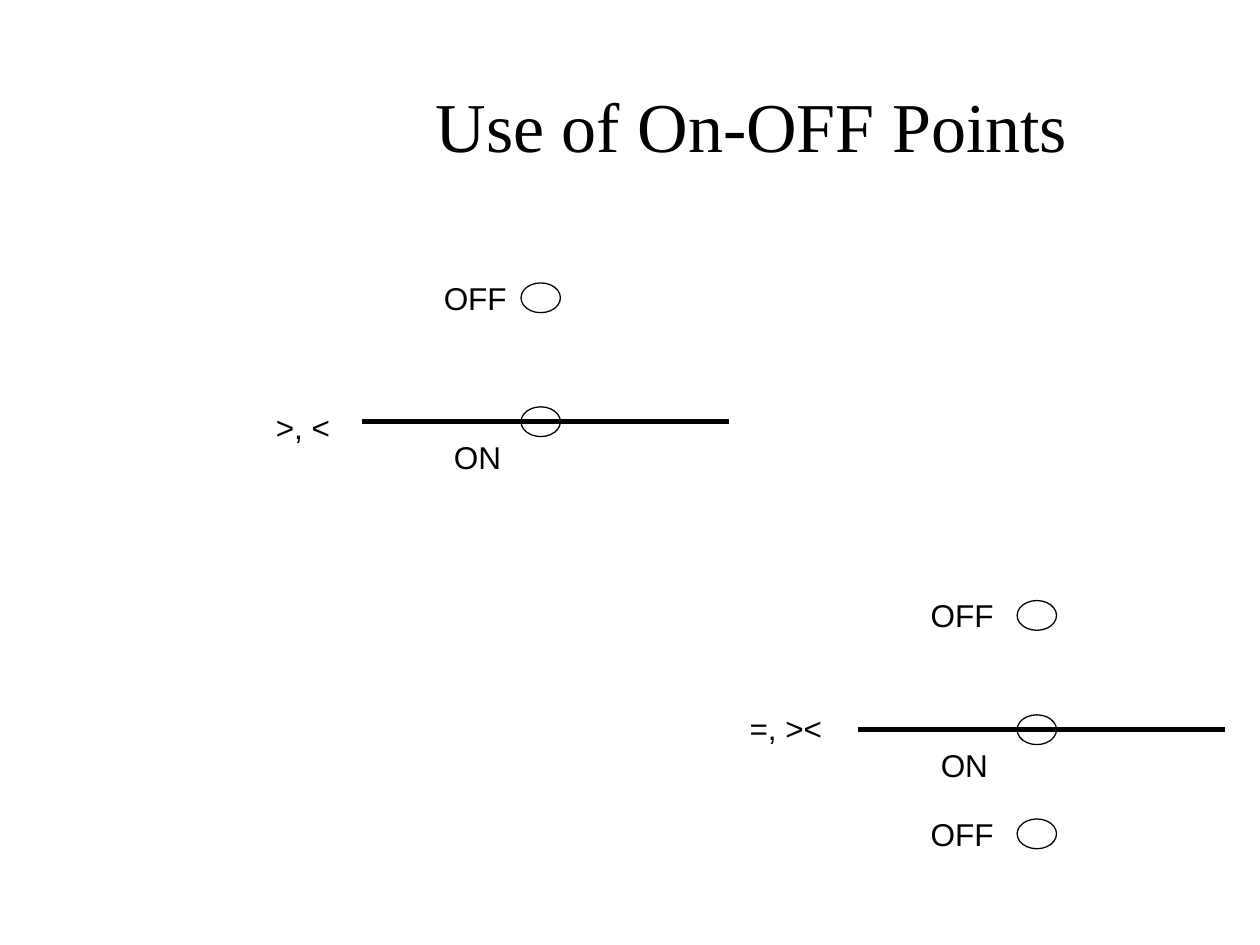
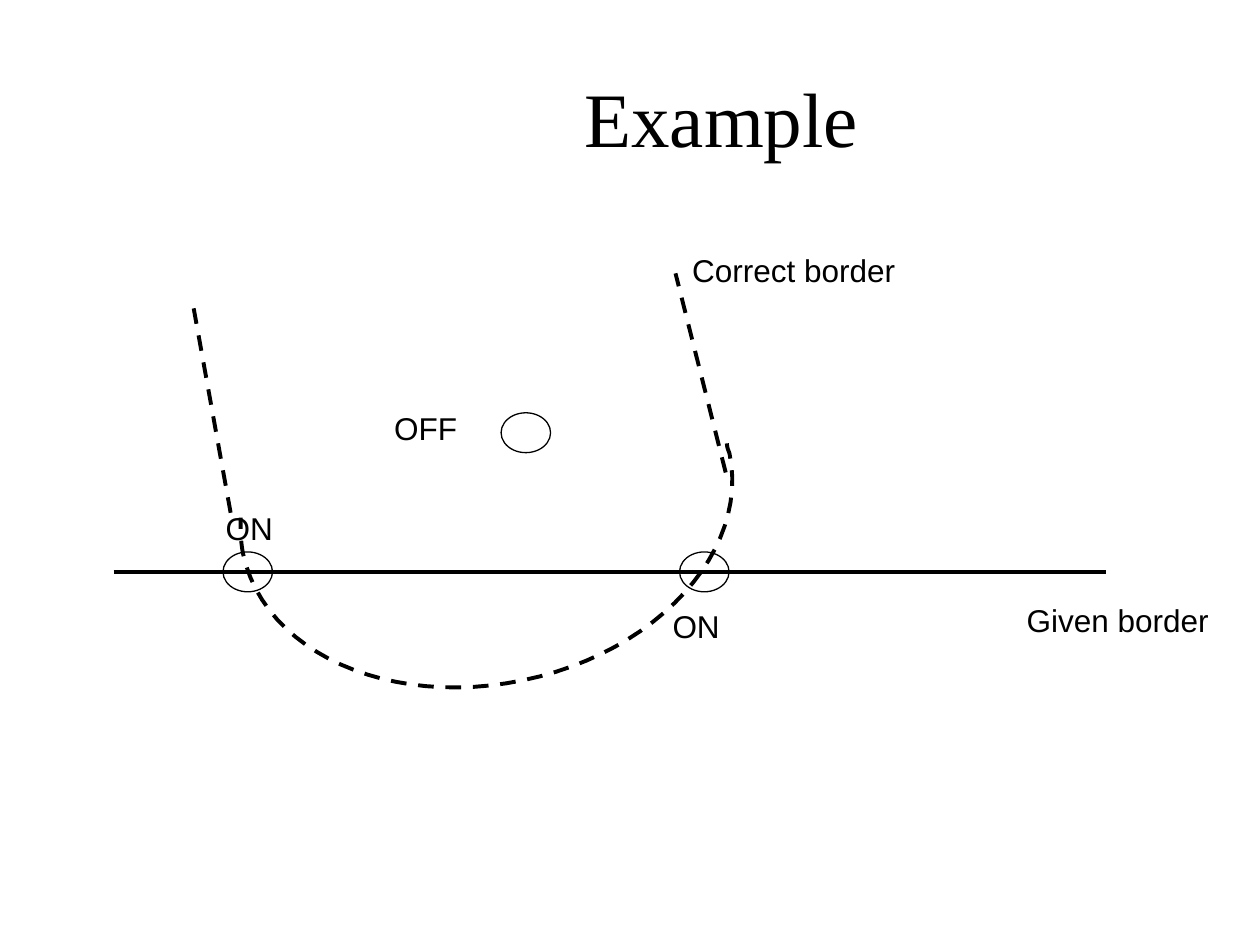
"""Build two slides on ON and OFF points of domain borders."""
from itertools import pairwise
from lxml import etree
from pptx import Presentation
from pptx.dml.color import RGBColor
from pptx.enum.dml import MSO_LINE as Dash
from pptx.enum.shapes import MSO_CONNECTOR as Conn, MSO_SHAPE as Shape
from pptx.enum.text import MSO_ANCHOR as Anchor, MSO_AUTO_SIZE as Fit, PP_ALIGN as Align
from pptx.oxml.ns import qn
from pptx.util import Pt

BLACK = RGBColor(0, 0, 0)
SERIF, SANS = "Times New Roman", "Arial"
LABEL_H = 28.8

USE_TITLE = ("Use of On-OFF Points", 139, 26, 581, 90, 40)
BORDERS = [
    {"ops": (">, <", 150.5, 229.7, 46), "line": (207, 241), "off": [-70.8], "gap": 39.5},
    {"ops": ("=, ><", 421.2, 401.8, 57), "line": (490.5, 417), "off": [-65.3, 59.5], "gap": 34.2},
]
BORDER_W, DOT_X = 209.7, 102
USE_DOT = (22.5, 17)

CASE_TITLE = ("Example", 140.4, 21.6, 543.6, 90, 44)
CASE_DOT = (28.3, 22.8)
GIVEN_Y = 326.8
CASE_DOTS = [(300.5, 247.3), (402.5, GIVEN_Y), (141.6, GIVEN_Y)]
CASE_TEXT = [
    ("Given border", 579.6, 339.8, 120),
    ("OFF", 218.2, 230.4, 57.6),
    ("ON", 121.9, 287.3, 46),
    ("ON", 377.2, 343.4, 46),
    ("Correct border", 388.5, 139.7, 136),
]
SIDES = [(131.8, 293, 110.2, 173.5), (414.7, 270, 386, 156.2)]
CURVE = [
    (415.4, 253.4), (415.4, 255.6), (416.2, 257.4), (416.9, 259.2),
    (428.4, 314.6), (375.8, 373), (298.8, 388.8),
    (222.5, 404.6), (151.2, 373), (139, 316.8),
    (137.5, 309.6), (137.5, 303.1), (137.5, 295.9),
]


def add_text(slide, text, x, y, w, h, size, face):
    box = slide.shapes.add_textbox(Pt(x), Pt(y), Pt(w), Pt(h))
    para = box.text_frame.paragraphs[0]
    para.text = text
    para.font.size, para.font.name = Pt(size), face
    para.font.color.rgb = BLACK
    return box.text_frame, para


def add_title(slide, text, x, y, w, h, size):
    frame, para = add_text(slide, text, x, y, w, h, size, SERIF)
    frame.word_wrap = True
    frame.vertical_anchor = Anchor.MIDDLE
    para.alignment = Align.CENTER


def add_label(slide, text, x, y, w):
    frame, _ = add_text(slide, text, x, y, w, LABEL_H, 18, SANS)
    frame.word_wrap = False
    frame.auto_size = Fit.SHAPE_TO_FIT_TEXT


def set_line(shape, width, dash=None):
    shape.line.color.rgb = BLACK
    shape.line.width = Pt(width)
    if dash:
        shape.line.dash_style = dash


def add_line(slide, x1, y1, x2, y2, width, dash=None):
    line = slide.shapes.add_connector(Conn.STRAIGHT, Pt(x1), Pt(y1), Pt(x2), Pt(y2))
    set_line(line, width, dash)
    etree.SubElement(line._element.spPr, qn("a:effectLst"))


def add_dot(slide, x, y, size):
    w, h = size
    dot = slide.shapes.add_shape(Shape.OVAL, Pt(x - w / 2), Pt(y - h / 2), Pt(w), Pt(h))
    dot.shadow.inherit = False
    dot.fill.background()
    set_line(dot, 0.75)


def trace(knots, steps=24):
    spots = [knots[0]]
    for i, j in pairwise(range(0, len(knots), 3)):
        quad = knots[i:j + 1]
        for k in range(1, steps + 1):
            t = k / steps
            parts = ((1 - t) ** 3, 3 * t * (1 - t) ** 2, 3 * t * t * (1 - t), t ** 3)
            spots.append(tuple(sum(p * q[a] for p, q in zip(parts, quad)) for a in (0, 1)))
    return spots


def add_curve(slide, knots):
    first, *rest = [(Pt(x), Pt(y)) for x, y in trace(knots)]
    path = slide.shapes.build_freeform(*first)
    path.add_line_segments(rest, close=False)
    curve = path.convert_to_shape()
    curve.shadow.inherit = False
    curve.fill.background()
    set_line(curve, 2.25, Dash.DASH)


def draw_use(slide):
    add_title(slide, *USE_TITLE)
    for item in BORDERS:
        x, y = item["line"]
        add_line(slide, x, y, x + BORDER_W, y, 3)
        add_dot(slide, x + DOT_X, y, USE_DOT)
        add_label(slide, *item["ops"])
        left = x + item["gap"]
        add_label(slide, "ON", left + 5.8, y + 5.8, 43)
        for step in item["off"]:
            add_dot(slide, x + DOT_X, y + step, USE_DOT)
            add_label(slide, "OFF", left, y + step - LABEL_H / 2, 51)


def draw_case(slide):
    add_title(slide, *CASE_TITLE)
    add_line(slide, 65, GIVEN_Y, 632, GIVEN_Y, 2.25)
    for spot in CASE_DOTS:
        add_dot(slide, *spot, CASE_DOT)
    for label in CASE_TEXT:
        add_label(slide, *label)
    add_curve(slide, CURVE)
    for side in SIDES:
        add_line(slide, *side, 2.25, Dash.DASH)


def main():
    deck = Presentation()
    deck.slide_width, deck.slide_height = Pt(720), Pt(540)
    for draw in (draw_use, draw_case):
        draw(deck.slides.add_slide(deck.slide_layouts[6]))
    deck.save("out.pptx")


if __name__ == "__main__":
    main()
